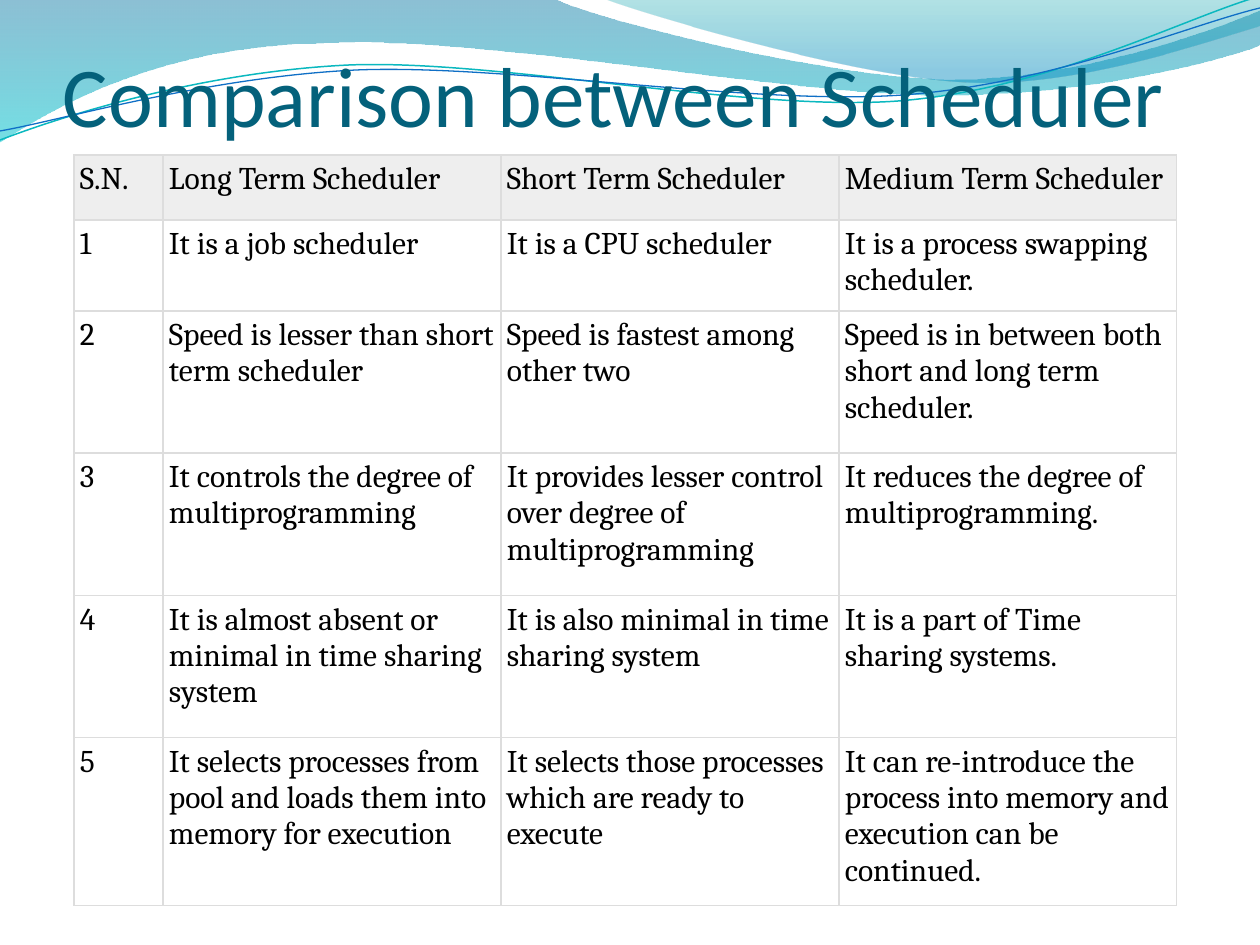
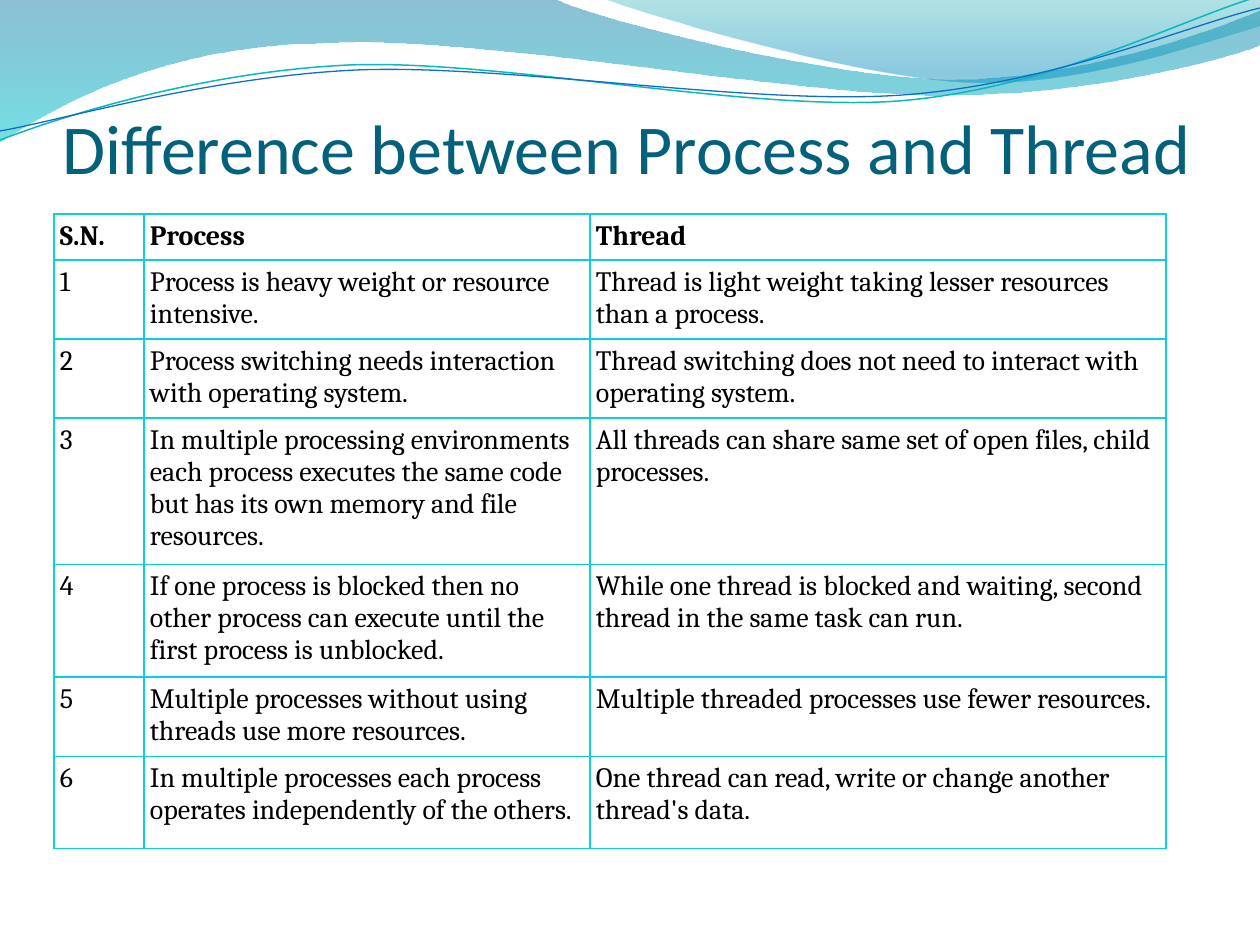
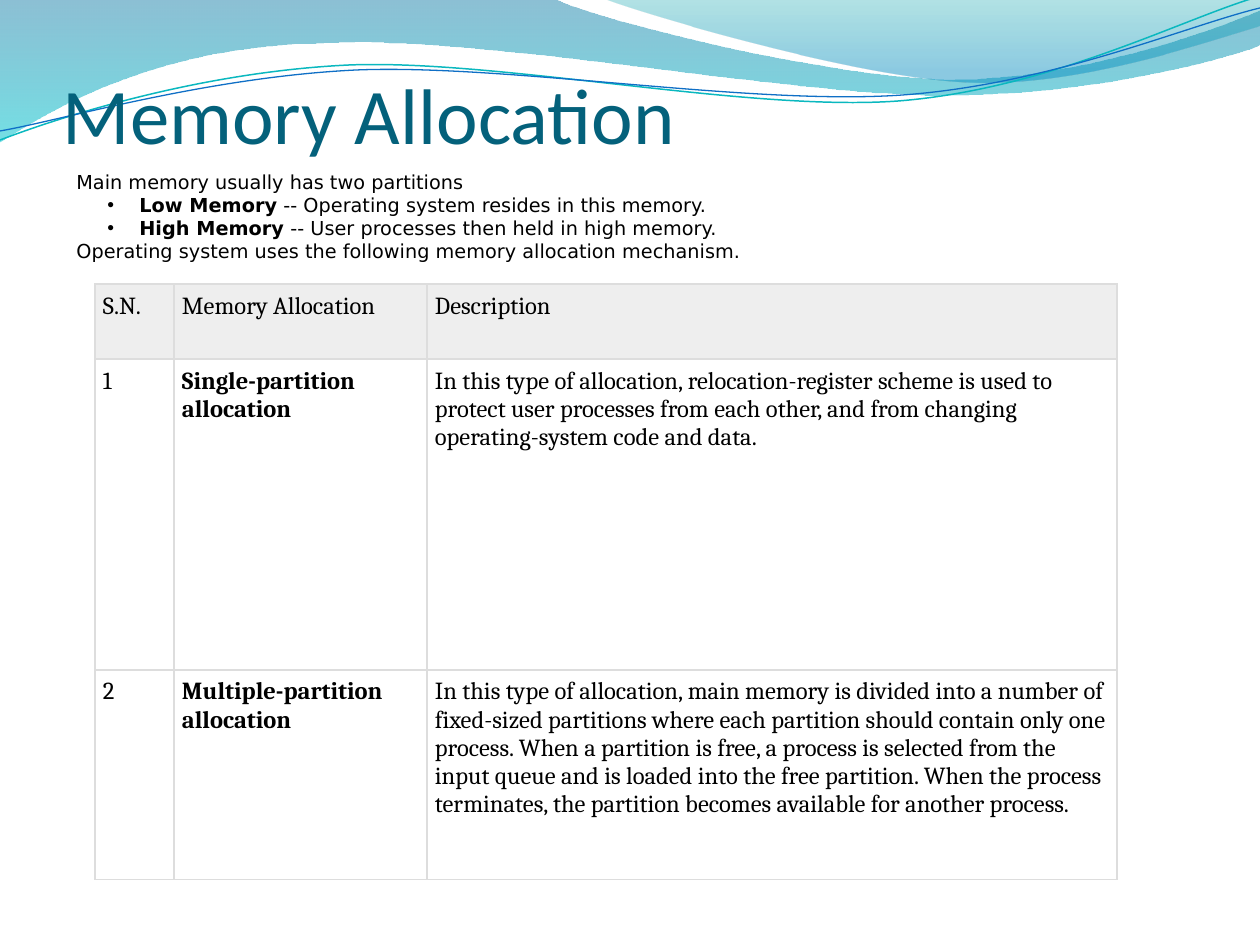
from lxml.etree import SubElement
from pptx import Presentation
from pptx.dml.color import RGBColor as RGB
from pptx.enum.text import MSO_ANCHOR as ANCHOR, PP_ALIGN as ALIGN
from pptx.oxml.ns import qn
from pptx.util import Emu, Pt

SCALE = 914400 / 126

BLACK = RGB(0x00, 0x00, 0x00)
TITLE_BLUE = RGB(0x04, 0x61, 0x7B)
HEADER_GREY = RGB(0xEE, 0xEE, 0xEE)
RULE_GREY = RGB(0xDD, 0xDD, 0xDD)
RULE_CYAN = RGB(0x0B, 0xD0, 0xD9)
LINE_TEAL = RGB(0x0A, 0xB8, 0xBF)
LINE_BLUE = RGB(0x0F, 0x6F, 0xC6)
WAVE_BLUE = RGB(0x00, 0x74, 0xA1)
WAVE_CYAN = RGB(0x00, 0xC6, 0xCF)
CREST_GREEN = RGB(0x00, 0xA1, 0xA9)
CREST_BLUE = RGB(0x00, 0x8B, 0xBF)

WAVE = [(0, 0), (554, -1), (600, 21, 837, 79, 955, 79),
        (1075, 79, 1207, 33, 1260, 11), (1261, 45),
        (1239, 55, 1096, 96, 940, 95), (784, 95, 481, 35, 324, 43),
        (163, 45, 58, 105, -1, 142), (0, 0)]
CREST = [(604, -1), (641, 14, 859, 78, 969, 82),
         (1079, 87, 1211, 40, 1260, 26), (1260, 0), (604, -1)]
TEAL_CURVE = [(0, 140), (60, 117, 199, 72, 349, 65),
              (498, 59, 747, 112, 898, 101), (1050, 89, 1182, 19, 1257, -3)]
BLUE_CURVE = [(0, 131), (59, 121, 207, 77, 357, 70),
              (508, 64, 752, 106, 903, 95), (1053, 84, 1186, 26, 1260, 8)]

SCHEDULERS = [
    ("S.N.", "Long Term Scheduler", "Short Term Scheduler", "Medium Term Scheduler"),
    ("1", "It is a job scheduler", "It is a CPU scheduler",
     "It is a process swapping scheduler."),
    ("2", "Speed is lesser than short term scheduler",
     "Speed is fastest among other two",
     "Speed is in between both short and long term scheduler."),
    ("3", "It controls the degree of multiprogramming",
     "It provides lesser control over degree of multiprogramming",
     "It reduces the degree of multiprogramming."),
    ("4", "It is almost absent or minimal in time sharing system",
     "It is also minimal in time sharing system",
     "It is a part of Time sharing systems."),
    ("5", "It selects processes from pool and loads them into memory for execution",
     "It selects those processes which are ready to execute",
     "It can re-introduce the process into memory and execution can be continued."),
]
THREADS = [
    ("S.N.", "Process", "Thread"),
    ("1", "Process is heavy weight or resource intensive.",
     "Thread is light weight taking lesser resources than a process."),
    ("2", "Process switching needs interaction with operating system.",
     "Thread switching does not need to interact with operating system."),
    ("3", "In multiple processing environments each process executes the same code "
     "but has its own memory and file resources.",
     "All threads can share same set of open files, child processes."),
    ("4", "If one process is blocked then no other process can execute until the "
     "first process is unblocked.",
     "While one thread is blocked and waiting, second thread in the same task can run."),
    ("5", "Multiple processes without using threads use more resources.",
     "Multiple threaded processes use fewer resources."),
    ("6", "In multiple processes each process operates independently of the others.",
     "One thread can read, write or change another thread's data."),
]
ALLOCATIONS = [
    ("S.N.", "Memory Allocation", "Description"),
    ("1", "Single-partition allocation",
     "In this type of allocation, relocation-register scheme is used to protect user "
     "processes from each other, and from changing operating-system code and data."),
    ("2", "Multiple-partition allocation",
     "In this type of allocation, main memory is divided into a number of fixed-sized "
     "partitions where each partition should contain only one process. When a partition "
     "is free, a process is selected from the input queue and is loaded into the free "
     "partition. When the process terminates, the partition becomes available for "
     "another process."),
]
PARTITIONS = [
    (False, [("Main memory usually has two partitions", False)]),
    (True, [("Low Memory", True),
            (" -- Operating system resides in this memory.", False)]),
    (True, [("High Memory", True),
            (" -- User processes then held in high memory.", False)]),
    (False, [("Operating system uses the following memory allocation mechanism.", False)]),
]


def px(n):
    """Turn pixels into EMU."""
    return Emu(round(n * SCALE))


def apply(obj, **fmt):
    """Set attributes from format values."""
    for name, value in fmt.items():
        setattr(obj, name, value)


def add_run(p, text, face, size, color, bold=False):
    """Add a formatted run to a paragraph."""
    r = p.add_run()
    r.text = text
    apply(r.font, name=face, size=Pt(size), bold=bold)
    r.font.color.rgb = color


def add_outline(s, path, close):
    """Draw a path of lines and cubic curves as a freeform without shadow."""
    points = [(px(seg[i]), px(seg[i + 1])) for seg in path for i in range(0, len(seg), 2)]
    fb = s.shapes.build_freeform(*points[0], scale=1.0)
    fb.add_line_segments(points[1:], close=close)
    sp = fb.convert_to_shape()
    sp.shadow.inherit = False
    lines = iter(list(sp._element.iter(qn("a:lnTo"))))
    for seg in path[1:]:
        first = next(lines)
        if len(seg) == 6:
            first.tag = qn("a:cubicBezTo")
            for ln in (next(lines), next(lines)):
                first.append(ln[0])
                ln.getparent().remove(ln)
    return sp


def add_wave(s, path, stops):
    """Draw a closed wave with a see-through vertical gradient."""
    sp = add_outline(s, path, True)
    sp.line.fill.background()
    sp.fill.gradient()
    sp.fill.gradient_angle = 270
    for stop, (position, color, _) in zip(sp.fill.gradient_stops, stops):
        stop.position = position
        stop.color.rgb = color
    colors = sp._element.spPr.iter(qn("a:srgbClr"))
    for clr, (_, _, opacity) in zip(colors, stops):
        SubElement(clr, qn("a:alpha"), val=str(opacity * 1000))


def add_curve(s, path, color, width):
    """Draw an open curve."""
    sp = add_outline(s, path, False)
    sp.fill.background()
    sp.line.color.rgb = color
    sp.line.width = Pt(width)


def add_text(s, at, anchor, **margins):
    """Add an empty wrapping text box and return its frame."""
    tf = s.shapes.add_textbox(*map(px, at)).text_frame
    apply(tf, word_wrap=True, vertical_anchor=anchor,
          **{f"margin_{side}": px(n) for side, n in margins.items()})
    return tf


def add_slide(prs, title, top, height, size, bottom=0):
    """Add a slide with the wave header and a title."""
    s = prs.slides.add_slide(prs.slide_layouts[6])
    add_wave(s, WAVE, [(0, WAVE_BLUE, 45), (1, WAVE_CYAN, 55)])
    add_wave(s, CREST, [(0, CREST_GREEN, 30), (0.8, CREST_BLUE, 45)])
    add_curve(s, TEAL_CURVE, LINE_TEAL, 0.85)
    add_curve(s, BLUE_CURVE, LINE_BLUE, 0.75)
    tf = add_text(s, (63, top, 1134, height), ANCHOR.BOTTOM,
                  left=0, top=6, right=0, bottom=bottom)
    add_run(tf.paragraphs[0], title, "Calibri", size, TITLE_BLUE)
    return s


def add_borders(cell, color, width):
    """Rule all four sides of a cell."""
    tc_pr = cell._tc.get_or_add_tcPr()
    for side in ("lnL", "lnR", "lnT", "lnB"):
        ln = SubElement(tc_pr, qn(f"a:{side}"), w=str(Pt(width)))
        SubElement(SubElement(ln, qn("a:solidFill")), qn("a:srgbClr"), val=str(color))


def add_grid(s, data, left, top, cols, rows, size, margin, rule, header=None, bold=()):
    """Add a ruled table, with the cells listed in bold set heavy."""
    box = map(px, (left, top, sum(cols), sum(rows)))
    table = s.shapes.add_table(len(rows), len(cols), *box).table
    apply(table, first_row=False, horz_banding=False)
    for col, width in zip(table.columns, cols):
        col.width = px(width)
    for row, height in zip(table.rows, rows):
        row.height = px(height)
    sides = ("left", "top", "right", "bottom")
    for i, texts in enumerate(data):
        for j, text in enumerate(texts):
            cell = table.cell(i, j)
            apply(cell, **{f"margin_{side}": px(margin) for side in sides})
            add_borders(cell, *rule)
            if header and i == 0:
                cell.fill.solid()
                cell.fill.fore_color.rgb = header
            else:
                cell.fill.background()
            add_run(cell.text_frame.paragraphs[0], text, "Cambria", size, BLACK,
                    (i, j) in bold)


def add_bullet(p):
    """Give a paragraph a hanging bullet."""
    p.level = 1
    p_pr = p._p.get_or_add_pPr()
    p_pr.set("marL", str(px(63)))
    p_pr.set("indent", str(px(-32)))
    SubElement(p_pr, qn("a:buFont"), typeface="Arial")
    SubElement(p_pr, qn("a:buChar"), char="•")


def add_bullet_block(s, at, lines):
    """Add justified lines, some of them bulleted."""
    tf = add_text(s, at, ANCHOR.MIDDLE)
    for i, (bulleted, runs) in enumerate(lines):
        p = tf.add_paragraph() if i else tf.paragraphs[0]
        p.alignment = ALIGN.JUSTIFY
        if bulleted:
            add_bullet(p)
        for text, bold in runs:
            add_run(p, text, "DejaVu Sans", 11, BLACK, bold)


def main():
    """Build the three slides."""
    prs = Presentation()
    apply(prs, slide_width=px(1260), slide_height=px(945))

    s = add_slide(prs, "Comparison between Scheduler", 55, 90, 48.6)
    add_grid(s, SCHEDULERS, 74, 155, [89] + [338] * 3, [65, 91, 142, 143, 142, 168],
             18, 6, (RULE_GREY, 0.75), HEADER_GREY)

    s = add_slide(prs, "Difference between Process and Thread", 96, 92, 40)
    add_grid(s, THREADS, 54, 214, [90, 446, 576], [46, 76, 75, 140, 112, 76, 92],
             16, 6, (RULE_CYAN, 1), bold=[(0, j) for j in range(3)])

    s = add_slide(prs, "Memory Allocation", 96, 157, 45, bottom=96)
    add_grid(s, ALLOCATIONS, 95, 284, [79, 253, 690], [75, 311, 210],
             14, 8, (RULE_GREY, 0.75), HEADER_GREY, bold=[(1, 1), (2, 1)])
    add_bullet_block(s, (64, 163, 973, 106), PARTITIONS)

    prs.save("out.pptx")


if __name__ == "__main__":
    main()
